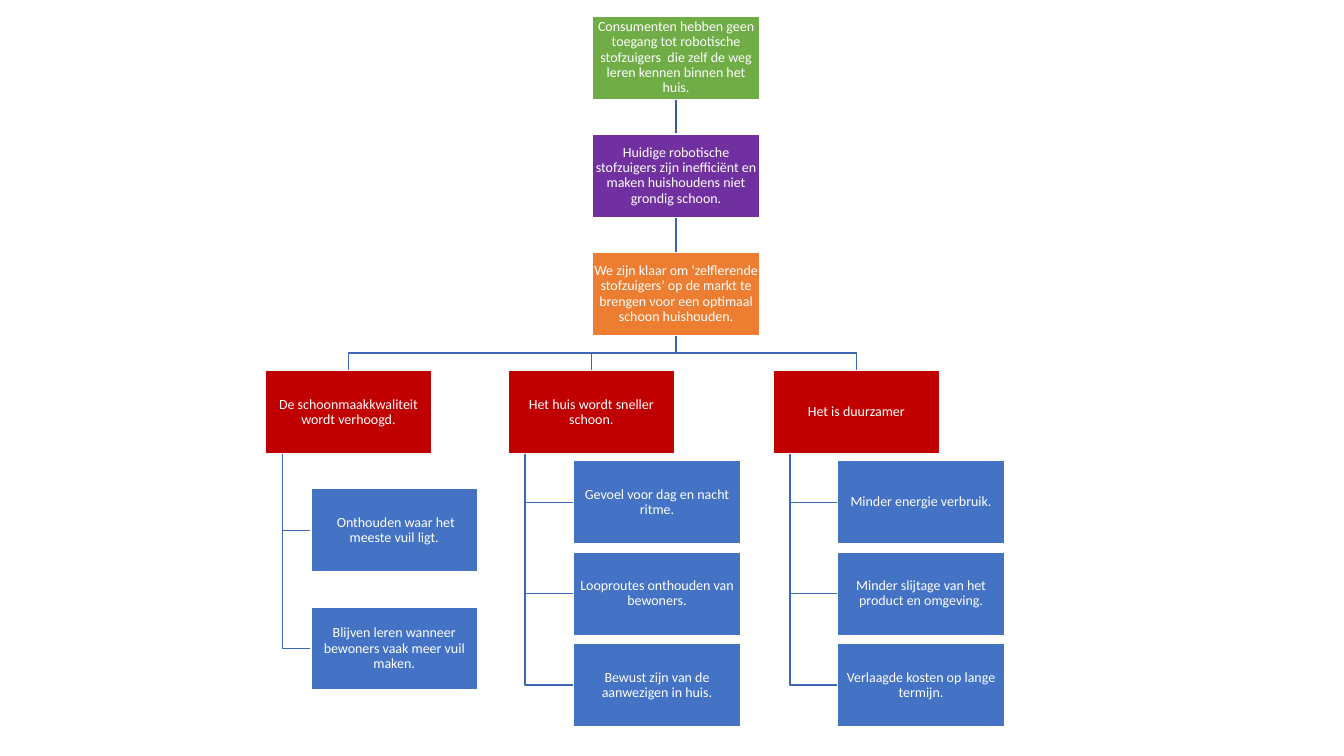
from lxml import etree
from pptx import Presentation
from pptx.dml.color import RGBColor
from pptx.enum.shapes import MSO_CONNECTOR, MSO_SHAPE
from pptx.enum.text import MSO_ANCHOR, PP_ALIGN
from pptx.oxml.ns import qn
from pptx.util import Pt

STRAIGHT = MSO_CONNECTOR.STRAIGHT
RECTANGLE = MSO_SHAPE.RECTANGLE
MIDDLE = MSO_ANCHOR.MIDDLE
CENTER = PP_ALIGN.CENTER

COLORS = {
    "green": "70AD47", "purple": "7030A0", "orange": "ED7D31", "red": "C00000",
    "blue": "4472C4", "white": "FFFFFF", "line": "3E67B2", "dark line": "365B9D",
}

TRUNK = [
    ("Consumenten hebben geen toegang tot robotische stofzuigers  die zelf de weg "
     "leren kennen binnen het huis.", "green"),
    ("Huidige robotische stofzuigers zijn inefficiënt en maken huishoudens niet "
     "grondig schoon.", "purple"),
    ("We zijn klaar om ‘zelflerende stofzuigers’ op de markt te brengen voor een "
     "optimaal schoon huishouden.", "orange"),
]
BRANCHES = [
    {"title": "De schoonmaakkwaliteit wordt verhoogd.",
     "left": 189.4, "leaf_left": 222.1, "leaf_top": 349.1, "leaf_step": 84.4,
     "leaves": [" Onthouden waar het meeste vuil ligt.",
                "Blijven leren wanneer bewoners vaak meer vuil maken."]},
    {"title": "Het huis wordt sneller schoon.",
     "left": 362.9, "leaf_left": 409.8, "leaf_top": 329, "leaf_step": 65.3,
     "leaves": ["Gevoel voor dag en nacht ritme.",
                "Looproutes onthouden van bewoners.",
                "Bewust zijn van de aanwezigen in huis."]},
    {"title": "Het is duurzamer",
     "left": 552.2, "leaf_left": 598.4, "leaf_top": 329, "leaf_step": 65.3,
     "leaves": ["Minder energie verbruik.",
                "Minder slijtage van het product en omgeving.",
                "Verlaagde kosten op lange termijn."]},
]

WIDTH, HEIGHT = 119, 59.5
TRUNK_LEFT, TRUNK_TOP, TRUNK_STEP = 423.4, 11.4, 84.4
STEM_INSET = 12.2
FRAME_FORMAT = {
    "word_wrap": True, "vertical_anchor": MIDDLE,
    "margin_left": Pt(0.5), "margin_right": Pt(0.5),
    "margin_top": Pt(0.5), "margin_bottom": Pt(0.5),
}
PARAGRAPH_FORMAT = {"alignment": CENTER, "line_spacing": 0.9, "space_after": Pt(3.5)}
FONT_FORMAT = {"name": "Calibri", "size": Pt(10)}


def color(name):
    return RGBColor.from_string(COLORS[name])


def apply_format(target, values):
    for name, value in values.items():
        setattr(target, name, value)


def style_line(line, name):
    line.color.rgb = color(name)
    line.width = Pt(1)


def add_straight(page, x, top, bottom, name):
    link = page.shapes.add_connector(STRAIGHT, Pt(x), Pt(top), Pt(x), Pt(bottom))
    style_line(link.line, name)
    etree.SubElement(link._element.spPr, qn("a:effectLst"))


def add_elbow(page, points):
    start, *rest = [(Pt(x), Pt(y)) for x, y in points]
    builder = page.shapes.build_freeform(*start)
    builder.add_line_segments(rest, close=False)
    elbow = builder.convert_to_shape()
    elbow.fill.background()
    elbow.shadow.inherit = False
    style_line(elbow.line, "line")


def add_box(page, text, left, top, fill):
    box = page.shapes.add_shape(RECTANGLE, Pt(left), Pt(top), Pt(WIDTH), Pt(HEIGHT))
    box.shadow.inherit = False
    box.fill.solid()
    box.fill.fore_color.rgb = color(fill)
    style_line(box.line, "white")
    apply_format(box.text_frame, FRAME_FORMAT)
    para = box.text_frame.paragraphs[0]
    apply_format(para, PARAGRAPH_FORMAT)
    span = para.add_run()
    span.text = text
    apply_format(span.font, FONT_FORMAT)
    span.font.color.rgb = color("white")


def main():
    deck = Presentation()
    deck.slide_width, deck.slide_height = Pt(960), Pt(540)
    page = deck.slides.add_slide(deck.slide_layouts[6])

    trunk_center = TRUNK_LEFT + WIDTH / 2
    trunk_tops = [TRUNK_TOP + row * TRUNK_STEP for row in range(len(TRUNK))]
    branch_top = TRUNK_TOP + len(TRUNK) * TRUNK_STEP
    trunk_bottom = trunk_tops[-1] + HEIGHT
    fork = (trunk_bottom + branch_top) / 2
    boxes = [(text, TRUNK_LEFT, top, fill)
             for (text, fill), top in zip(TRUNK, trunk_tops)]

    for top, name in zip(trunk_tops[:-1], ("dark line", "line")):
        add_straight(page, trunk_center, top + HEIGHT, top + TRUNK_STEP, name)

    for branch in BRANCHES:
        left, leaf_left = branch["left"], branch["leaf_left"]
        center, stem = left + WIDTH / 2, left + STEM_INSET
        add_elbow(page, [(trunk_center, trunk_bottom), (trunk_center, fork),
                         (center, fork), (center, branch_top)])
        boxes.append((branch["title"], left, branch_top, "red"))
        for row, leaf in enumerate(branch["leaves"]):
            top = branch["leaf_top"] + row * branch["leaf_step"]
            middle = top + HEIGHT / 2
            add_elbow(page, [(stem, branch_top + HEIGHT), (stem, middle),
                             (leaf_left, middle)])
            boxes.append((leaf, leaf_left, top, "blue"))

    for box in boxes:
        add_box(page, *box)
    deck.save("out.pptx")


if __name__ == "__main__":
    main()
